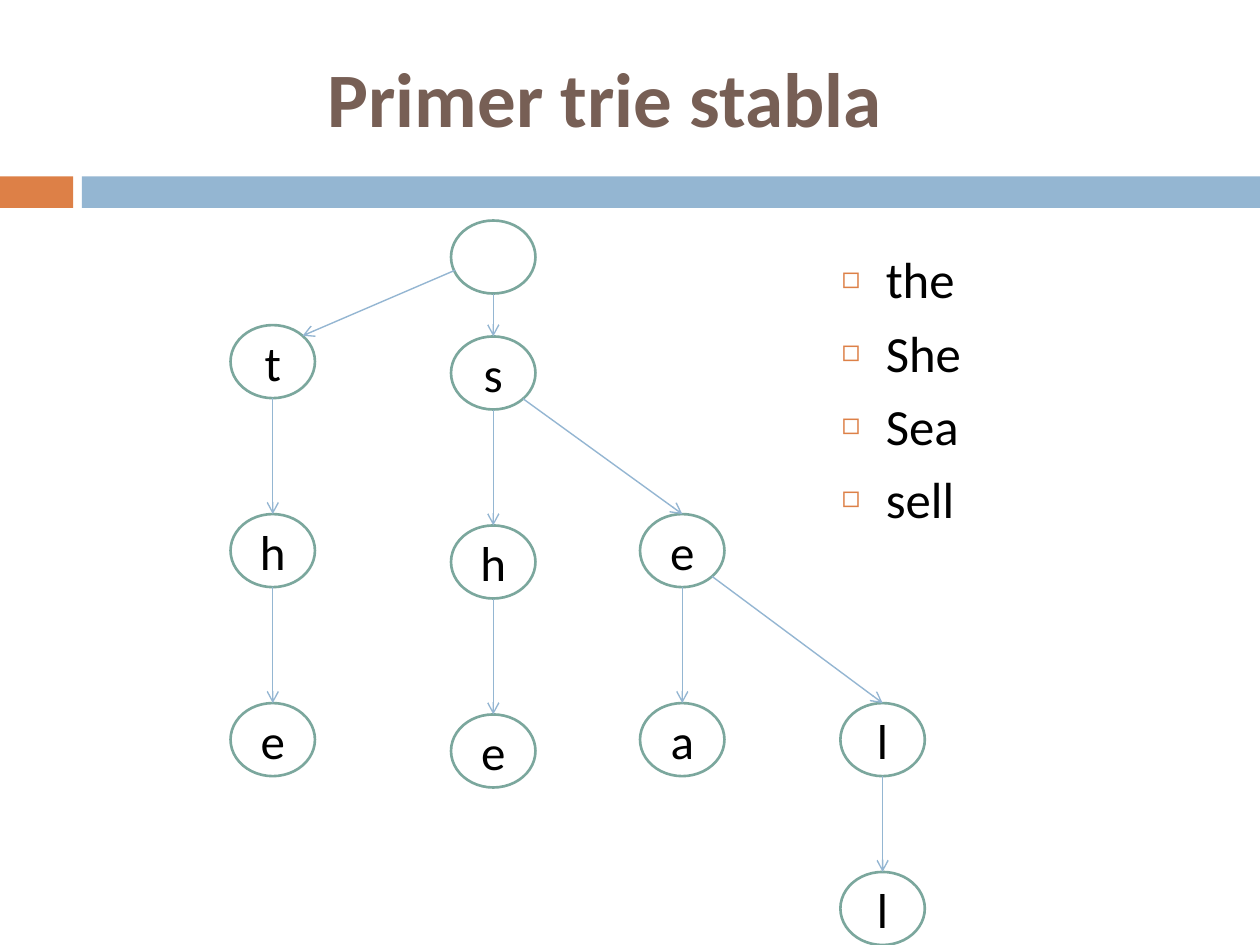
from dataclasses import dataclass
from math import sqrt

from pptx import Presentation
from pptx import util as u
from pptx.dml.color import RGBColor
from pptx.enum import shapes, text
from pptx.oxml import parse_xml
from pptx.oxml.ns import nsdecls

COLORS = {
    "orange": "DD8047",
    "blue": "94B6D2",
    "green": "7BA79D",
    "brown": "775F55",
    "black": "000000",
    "white": "FFFFFF",
}
FONT = "Calibri"
NODE_WIDTH, NODE_HEIGHT = 0.67, 0.58
DIAGONAL = 1 / sqrt(2)
TOP, BOTTOM = (0, -1), (0, 1)
TOP_RIGHT, BOTTOM_RIGHT = (DIAGONAL, -DIAGONAL), (DIAGONAL, DIAGONAL)
ROOT_EXIT = (-0.9, 0.36)


@dataclass(frozen=True)
class Node:
    letter: str
    left: float
    top: float

    def point(self, direction: tuple[float, float]) -> tuple[float, float]:
        across, down = direction
        return (self.left + NODE_WIDTH / 2 * (1 + across),
                self.top + NODE_HEIGHT / 2 * (1 + down))


@dataclass(frozen=True)
class Edge:
    parent: str
    child: str
    leave: tuple[float, float] = BOTTOM
    arrive: tuple[float, float] = TOP


NODES = {
    "root": Node("", 3.58, 1.75),
    "t": Node("t", 1.83, 2.58),
    "th": Node("h", 1.83, 4.08),
    "the": Node("e", 1.83, 5.58),
    "s": Node("s", 3.58, 2.67),
    "sh": Node("h", 3.58, 4.17),
    "she": Node("e", 3.58, 5.67),
    "se": Node("e", 5.08, 4.08),
    "sea": Node("a", 5.08, 5.58),
    "sel": Node("l", 6.67, 5.58),
    "sell": Node("l", 6.67, 6.92),
}
EDGES = [
    Edge("root", "t", ROOT_EXIT, TOP_RIGHT),
    Edge("t", "th"),
    Edge("th", "the"),
    Edge("root", "s"),
    Edge("s", "sh"),
    Edge("sh", "she"),
    Edge("s", "se", BOTTOM_RIGHT),
    Edge("se", "sea"),
    Edge("se", "sel", BOTTOM_RIGHT),
    Edge("sel", "sell"),
]
WORDS = ["the", "She", "Sea", "sell"]


def color(name: str) -> RGBColor:
    return RGBColor.from_string(COLORS[name])


def place(shape, left: float, top: float, width: float, height: float) -> None:
    shape.left, shape.top = u.Inches(left), u.Inches(top)
    shape.width, shape.height = u.Inches(width), u.Inches(height)


def add_text(paragraph, content: str, size: float, color_name: str, bold: bool = False) -> None:
    run = paragraph.add_run()
    run.text = content
    run.font.name = FONT
    run.font.size = u.Pt(size)
    run.font.bold = bold
    run.font.color.rgb = color(color_name)


def add_filled(slide, kind, left: float, top: float, width: float, height: float, fill: str):
    shape = slide.shapes.add_shape(
        kind, u.Inches(left), u.Inches(top), u.Inches(width), u.Inches(height))
    shape.shadow.inherit = False
    shape.fill.solid()
    shape.fill.fore_color.rgb = color(fill)
    shape.line.fill.background()
    return shape


def add_node(slide, node: Node) -> None:
    shape = add_filled(slide, shapes.MSO_SHAPE.OVAL, node.left, node.top,
                       NODE_WIDTH, NODE_HEIGHT, "white")
    shape.line.color.rgb = color("green")
    shape.line.width = u.Pt(1.5)
    if node.letter:
        shape.text_frame.vertical_anchor = text.MSO_ANCHOR.MIDDLE
        paragraph = shape.text_frame.paragraphs[0]
        paragraph.alignment = text.PP_ALIGN.CENTER
        add_text(paragraph, node.letter, 28, "black")


def add_edge(slide, edge: Edge) -> None:
    start = NODES[edge.parent].point(edge.leave)
    end = NODES[edge.child].point(edge.arrive)
    connector = slide.shapes.add_connector(
        shapes.MSO_CONNECTOR.STRAIGHT, *(u.Inches(value) for value in start + end))
    connector.line.color.rgb = color("blue")
    connector.line.width = u.Pt(0.79)
    connector.line._get_or_add_ln().append(
        parse_xml(f'<a:tailEnd {nsdecls("a")} type="arrow"/>'))
    connector._element.spPr.append(parse_xml(f'<a:effectLst {nsdecls("a")}/>'))


def add_bullet(paragraph) -> None:
    properties = paragraph._p.get_or_add_pPr()
    properties.set("marL", str(u.Inches(0.35)))
    properties.set("indent", str(u.Inches(-0.35)))
    for tag in (
        f'<a:buClr {nsdecls("a")}><a:srgbClr val="{COLORS["orange"]}"/></a:buClr>',
        f'<a:buSzPct {nsdecls("a")} val="60000"/>',
        f'<a:buChar {nsdecls("a")} char="\u25fb"/>',
    ):
        properties.append(parse_xml(tag))


def fill_title(title) -> None:
    place(title, 2.5, 0.25, 5.08, 1.03)
    frame = title.text_frame
    frame.auto_size = text.MSO_AUTO_SIZE.NONE
    frame.vertical_anchor = text.MSO_ANCHOR.MIDDLE
    frame.paragraphs[0].alignment = text.PP_ALIGN.LEFT
    add_text(frame.paragraphs[0], "Primer trie stabla", 44, "brown", bold=True)


def fill_words(body) -> None:
    place(body, 6.58, 1.92, 1.27, 2.27)
    frame = body.text_frame
    frame.auto_size = text.MSO_AUTO_SIZE.NONE
    for index, word in enumerate(WORDS):
        paragraph = frame.add_paragraph() if index else frame.paragraphs[0]
        paragraph.space_before = u.Pt(7)
        add_bullet(paragraph)
        add_text(paragraph, word, 29, "black")


presentation = Presentation()
presentation.slide_width, presentation.slide_height = u.Inches(10), u.Inches(7.5)
slide = presentation.slides.add_slide(presentation.slide_layouts[1])
for left, width, fill in ((0, 0.58, "orange"), (0.65, 9.35, "blue")):
    add_filled(slide, shapes.MSO_SHAPE.RECTANGLE, left, 1.4, width, 0.25, fill)
fill_title(slide.shapes.title)
fill_words(slide.placeholders[1])
for node in NODES.values():
    add_node(slide, node)
for edge in EDGES:
    add_edge(slide, edge)
presentation.save("out.pptx")
